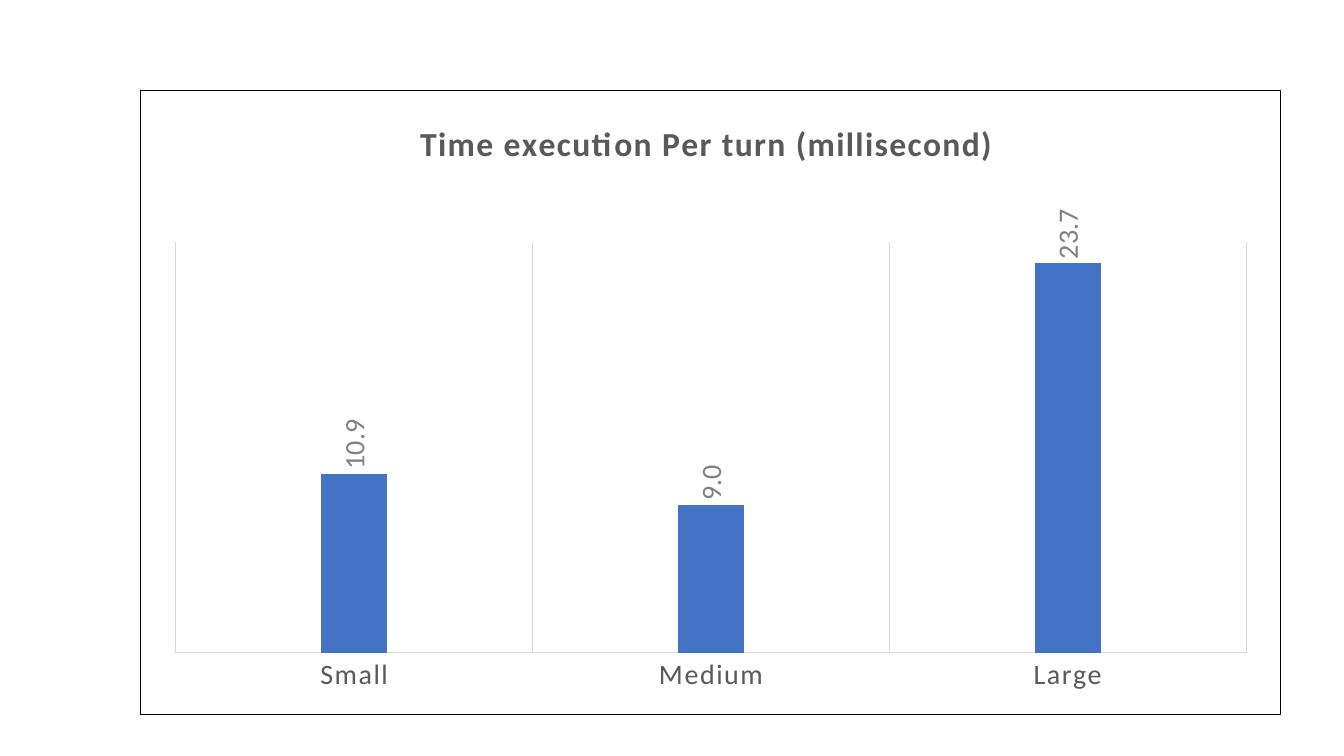
"""Build a slide with a column chart of execution time per turn."""
from lxml import etree
from pptx import Presentation
from pptx.chart.data import CategoryChartData
from pptx.dml.color import RGBColor
from pptx.enum import chart as kinds
from pptx.oxml import parse_xml
from pptx.oxml.ns import nsdecls, qn
from pptx.util import Pt

TITLE = "Time execution Per turn (millisecond)"
TIMES = {"Small": 10.9, "Medium": 9.0, "Large": 23.7}
FONT = "Calibri"
BLUE = RGBColor(0x44, 0x72, 0xC4)
DARK = RGBColor(0x59, 0x59, 0x59)
GREY = RGBColor(0x80, 0x80, 0x80)
PALE = RGBColor(0xD9, 0xD9, 0xD9)
BLACK = RGBColor(0, 0, 0)


def style_font(font, size, color, bold=False):
    """Set the face, size, colour and weight of a font."""
    font.name, font.size, font.bold = FONT, Pt(size), bold
    font.color.rgb = color


def style_line(line, color):
    """Give a line its colour and the common width."""
    line.color.rgb, line.width = color, Pt(0.75)


def space_letters(element, tag):
    """Widen the letter spacing of all text properties with this tag."""
    for properties in element.iter(qn(tag)):
        properties.set("spc", "100")


def place(element, index, **settings):
    """Replace the automatic layout of a chart part with a manual one."""
    for old in element.findall(qn("c:layout")):
        element.remove(old)
    layout = etree.Element(qn("c:layout"))
    manual = etree.SubElement(layout, qn("c:manualLayout"))
    for name, value in settings.items():
        etree.SubElement(manual, qn(f"c:{name}")).set("val", str(value))
    element.insert(index, layout)


deck = Presentation()
deck.slide_width, deck.slide_height = Pt(960), Pt(540)
page = deck.slides.add_slide(deck.slide_layouts[6])

data = CategoryChartData(number_format="0.0")
data.categories = list(TIMES)
data.add_series("Series 1", list(TIMES.values()))
chart = page.shapes.add_chart(
    kinds.XL_CHART_TYPE.COLUMN_CLUSTERED,
    Pt(100), Pt(64), Pt(815), Pt(447), data).chart
style_font(chart.font, 10, BLACK)
chart.has_legend = False
chart.has_title = True
heading = chart.chart_title.text_frame
heading.text = TITLE
style_font(heading.paragraphs[0].runs[0].font, 24, DARK, bold=True)
title = chart.element.find(".//" + qn("c:title"))
space_letters(title, "a:rPr")
place(title, 1, xMode="edge", yMode="edge", x=0.24, y=0.04)
place(chart.element.find(".//" + qn("c:plotArea")), 0,
      layoutTarget="inner", xMode="edge", yMode="edge",
      x=0.031, y=0.243, w=0.939, h=0.658)

sizes = chart.category_axis
sizes.has_major_gridlines = True
sizes.major_tick_mark = kinds.XL_TICK_MARK.NONE
style_line(sizes.format.line, PALE)
style_line(sizes.major_gridlines.format.line, PALE)
style_font(sizes.tick_labels.font, 20, DARK)
space_letters(chart.element.find(".//" + qn("c:catAx")), "a:defRPr")

scale = chart.value_axis
scale.visible = scale.has_major_gridlines = False
scale.minimum_scale, scale.maximum_scale = 0, 25

plot = chart.plots[0]
plot.gap_width, plot.overlap, plot.vary_by_categories = 444, -90, False
bars = plot.series[0]
bars.format.fill.solid()
bars.format.fill.fore_color.rgb = BLUE
labels = bars.data_labels
labels.show_value = True
labels.position = kinds.XL_LABEL_POSITION.OUTSIDE_END
labels.number_format, labels.number_format_is_linked = "0.0", False
style_font(labels.font, 20, GREY)
turn = chart.element.find(".//" + qn("c:dLbls")).find(".//" + qn("a:bodyPr"))
turn.set("rot", "-5400000")
turn.set("vert", "horz")

chart.element.find(qn("c:chart")).addnext(parse_xml(
    f'<c:spPr {nsdecls("c", "a")}><a:noFill/><a:ln w="{Pt(0.75)}"><a:solidFill>'
    f'<a:srgbClr val="{BLACK}"/></a:solidFill></a:ln></c:spPr>'))

deck.save("out.pptx")
